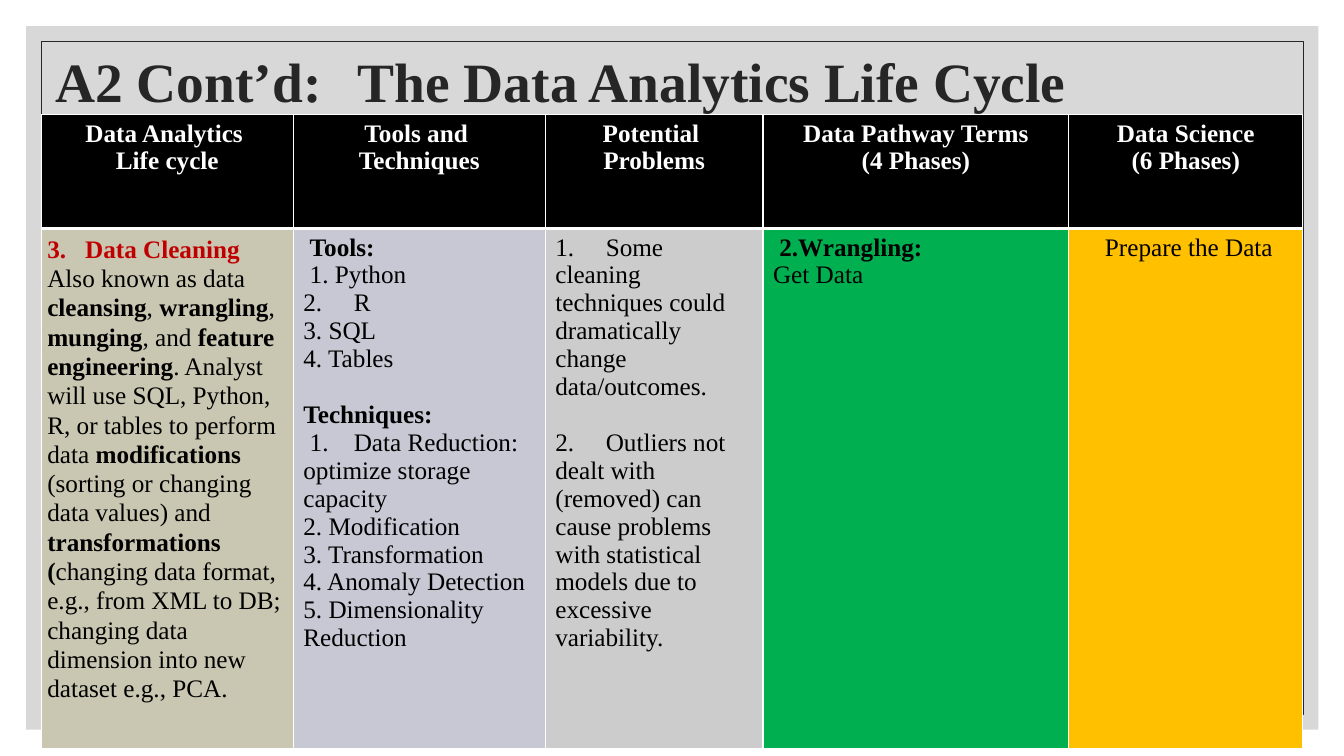
from pptx import Presentation
from pptx.util import Pt
from pptx.dml.color import RGBColor as RGB
from pptx.enum.shapes import MSO_SHAPE as SHAPE
from pptx.enum.text import PP_ALIGN as AL, MSO_ANCHOR as ANCHOR
from pptx.oxml.ns import qn
from lxml.etree import SubElement as Sub

WHITE = RGB(255, 255, 255)
BLACK = RGB(0, 0, 0)
DARK = RGB(0x26, 0x26, 0x26)
GRAY = RGB(0xBF, 0xBF, 0xBF)
RED = RGB(0xC0, 0, 0)
TAN = RGB(0xC9, 0xC7, 0xB1)
LILAC = RGB(0xC8, 0xC8, 0xD4)
SILVER = RGB(0xCC, 0xCC, 0xCC)
GREEN = RGB(0, 0xB0, 0x50)
AMBER = RGB(0xFF, 0xC0, 0)


def add_run(para, text, color=BLACK, bold=False, size=18):
    run = para.add_run()
    run.text = text
    font = run.font
    font.name, font.size, font.bold = "Times New Roman", Pt(size), bold
    font.color.rgb = color


def paint(cell, color, top, base):
    props = cell._tc.get_or_add_tcPr()
    for side, width in (("L", 1), ("R", 1), ("T", top), ("B", base)):
        line = Sub(props, qn("a:ln" + side), w=str(Pt(width)))
        Sub(Sub(line, qn("a:solidFill")), qn("a:srgbClr"), val=str(WHITE))
    cell.fill.solid()
    cell.fill.fore_color.rgb = color


deck = Presentation()
deck.slide_width, deck.slide_height = Pt(960), Pt(540)
slide = deck.slides.add_slide(deck.slide_layouts[6])
shapes = slide.shapes

panel = shapes.add_shape(SHAPE.RECTANGLE, Pt(18.72), Pt(18.72), Pt(923), Pt(502.5))
panel.shadow.inherit = False
panel.fill.solid()
panel.fill.fore_color.rgb = GRAY
Sub(panel.fill._xPr.find(".//" + qn("a:srgbClr")), qn("a:alpha"), val="60000")
panel.line.fill.background()

frame = shapes.add_shape(SHAPE.RECTANGLE, Pt(29.5), Pt(29.5), Pt(901.5), Pt(481))
frame.shadow.inherit = False
frame.fill.background()
frame.line.color.rgb = DARK
frame.line.width = Pt(0.5)

title = shapes.add_textbox(Pt(32.4), Pt(36.5), Pt(854), Pt(48)).text_frame
title.word_wrap = True
title.vertical_anchor = ANCHOR.MIDDLE
title.paragraphs[0].line_spacing = 0.9
add_run(title.paragraphs[0], "A2 Cont’d:\tThe Data Analytics Life Cycle", DARK, True, 39.6)

heads = [
    ("Data Analytics ", "Life cycle"),
    ("Tools and ", "Techniques"),
    ("Potential ", "Problems"),
    ("Data Pathway Terms", "(4 Phases)"),
    ("Data Science", "(6 Phases)"),
]
fills = [TAN, LILAC, SILVER, GREEN, AMBER]
widths = [180, 180, 155.5, 218.5, 167]
grid = shapes.add_table(2, 5, Pt(29.5), Pt(81.8), Pt(sum(widths)), Pt(423.4)).table
grid.horz_banding = False
grid.rows[0].height, grid.rows[1].height = Pt(81.4), Pt(342)
for col, (width, lines, fill) in enumerate(zip(widths, heads, fills)):
    grid.columns[col].width = Pt(width)
    head = grid.cell(0, col)
    paint(head, BLACK, 1, 3)
    paint(grid.cell(1, col), fill, 3, 1)
    for row, text in enumerate(lines):
        body = head.text_frame
        para = body.add_paragraph() if row else body.paragraphs[0]
        para.alignment = AL.CENTER
        add_run(para, text, WHITE, True)

clean = grid.cell(1, 0)
clean.margin_left = clean.margin_right = Pt(4.3)
clean.margin_top = clean.margin_bottom = Pt(4.3)
topic = clean.text_frame.paragraphs[0]
topic.line_spacing = 1.05
props = topic._p.get_or_add_pPr()
props.set("marL", str(Pt(27)))
props.set("indent", str(-Pt(27)))
Sub(props, qn("a:buAutoNum"), type="arabicPeriod", startAt="3")
add_run(topic, "Data Cleaning", RED, True)
story = clean.text_frame.add_paragraph()
story.line_spacing = 1.05
parts = [
    "Also known as data ", "cleansing", ", ", "wrangling", ", ", "munging", ", and ",
    "feature engineering",
    ". Analyst will use SQL, Python, R, or tables to perform data ",
    "modifications ", "(sorting or changing data values) and ", "transformations (",
    "changing data format, e.g., from XML to DB; changing data dimension into new "
    "dataset e.g., PCA.",
]
for num, text in enumerate(parts):
    add_run(story, text, bold=num % 2 == 1)

notes = [
    (1, "Tools:", True, 4.5, 0, 0),
    (1, "1. Python", False, 4.5, 0, 0),
    (1, "2.\tR", False, 0, 22.5, 0),
    (1, "3. SQL", False, 0, 0, 0),
    (1, "4. Tables", False, 0, 0, 0),
    (1, "Techniques:", True, 0, 0, 20),
    (1, "1.\tData Reduction: optimize storage capacity", False, 4.5, 27, 0),
    (1, "2. Modification", False, 0, 0, 0),
    (1, "3. Transformation", False, 0, 0, 0),
    (1, "4. Anomaly Detection", False, 0, 0, 0),
    (1, "5. Dimensionality Reduction", False, 0, 0, 0),
    (2, "1.\tSome cleaning techniques could dramatically change data/outcomes.",
     False, 0, 22.5, 0),
    (2, "2.\tOutliers not dealt with (removed) can cause problems with statistical "
     "models due to excessive variability.", False, 0, 27, 20),
    (3, "2.Wrangling:", True, 4.5, 0, 0),
    (3, "Get Data", False, 0, 0, 0),
    (4, "Prepare the Data", False, 4.5, 0, 0),
]
for col, text, bold, indent, tab, gap in notes:
    body = grid.cell(1, col).text_frame
    para = body.add_paragraph() if body.text else body.paragraphs[0]
    props = para._p.get_or_add_pPr()
    props.set("indent", str(Pt(indent)))
    if tab:
        Sub(Sub(props, qn("a:tabLst")), qn("a:tab"), pos=str(Pt(tab)), algn="l")
    if gap:
        para.space_before = Pt(gap)
    if col == 4:
        para.alignment = AL.CENTER
    add_run(para, text, bold=bold)

deck.save("out.pptx")
